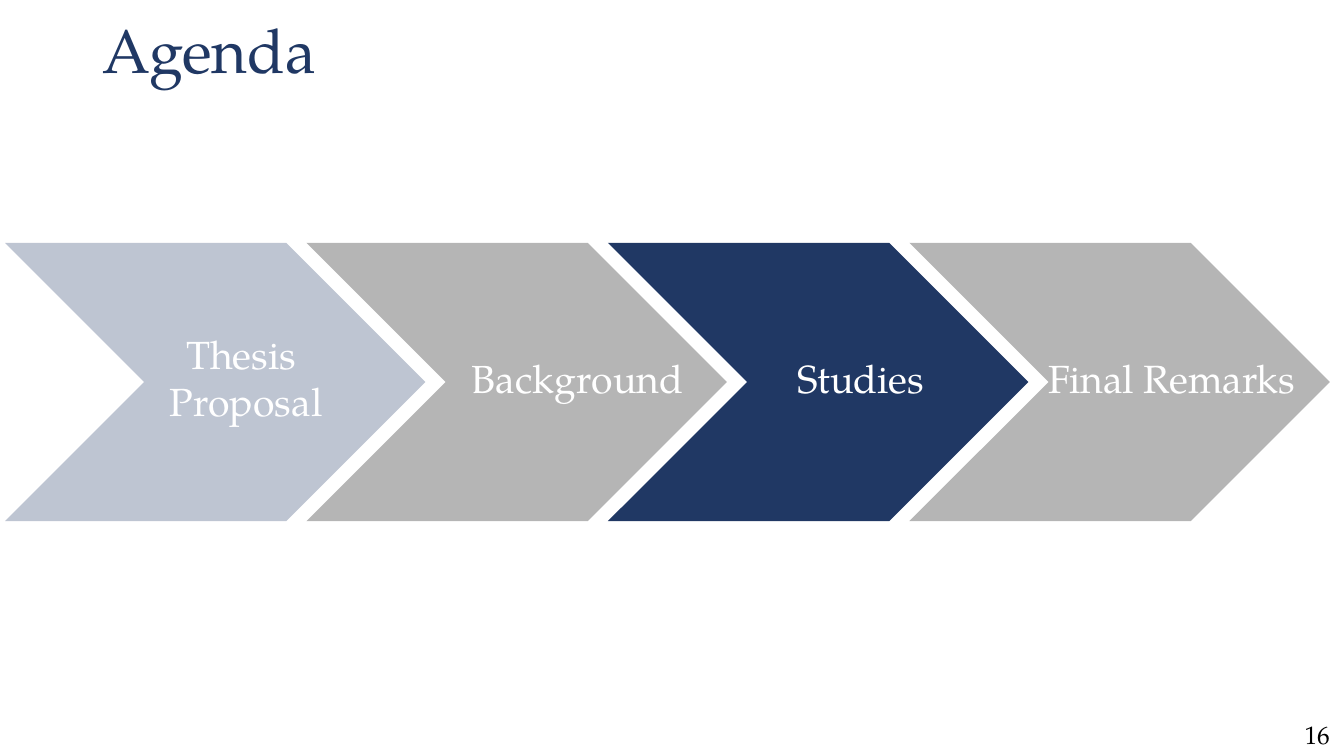
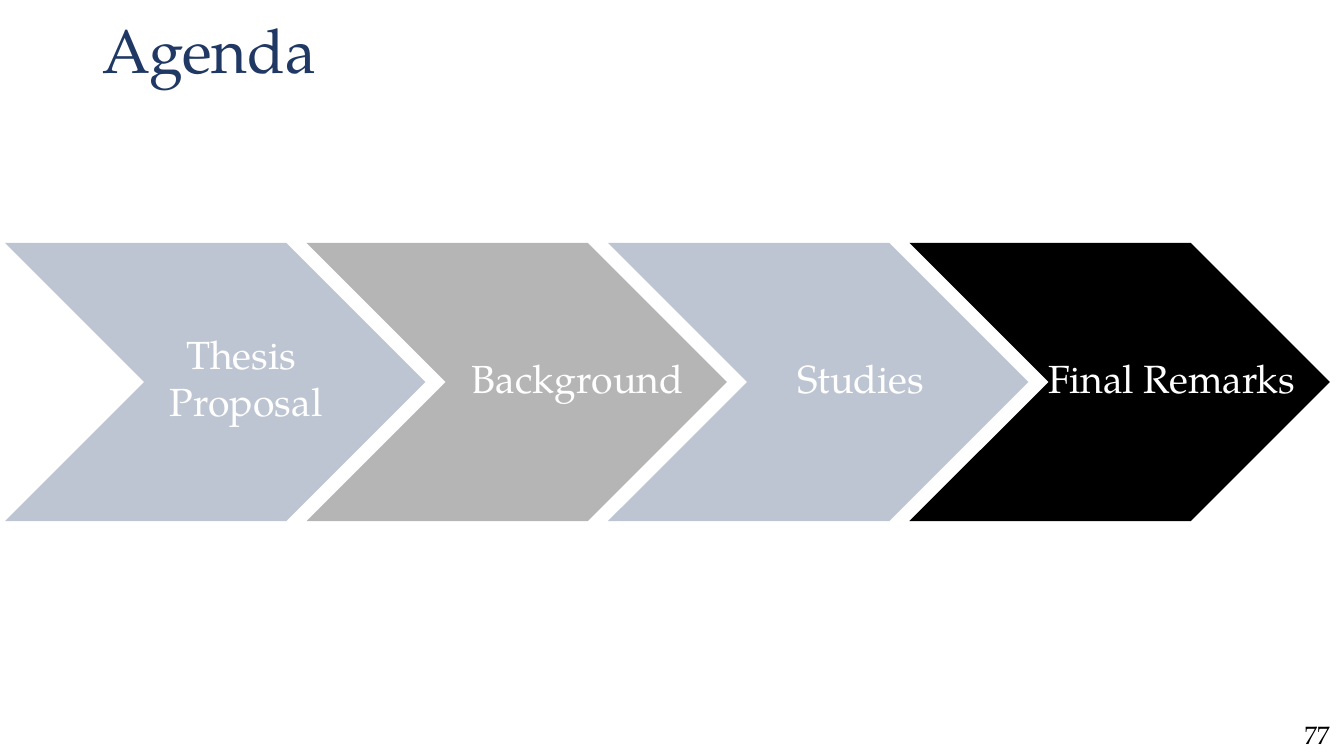
from dataclasses import dataclass

from lxml import etree
from pptx import Presentation
from pptx.dml.color import RGBColor
from pptx.enum.shapes import MSO_SHAPE
from pptx.enum.text import MSO_ANCHOR, MSO_AUTO_SIZE, PP_ALIGN
from pptx.oxml.ns import qn
from pptx.presentation import Presentation as Deck
from pptx.shapes.base import BaseShape
from pptx.slide import Slide
from pptx.text.text import TextFrame
from pptx.util import Pt

EMU_PER_PX = 9144  # 100 px to the inch
SLIDE_WIDTH, SLIDE_HEIGHT = 1333, 750

NAVY = RGBColor(0x20, 0x38, 0x64)
BLACK = RGBColor(0x00, 0x00, 0x00)
WHITE = RGBColor(0xFF, 0xFF, 0xFF)

FONT = "TeX Gyre Pagella"
TITLE_FORMAT = {"name": FONT, "size": Pt(44), "color": NAVY}
LABEL_FORMAT = {"name": FONT, "size": Pt(28), "color": WHITE}
NUMBER_FORMAT = {"name": FONT, "size": Pt(18), "color": BLACK}

CHEVRON_LEFT, CHEVRON_TOP, CHEVRON_PITCH = 5, 241, 299
CHEVRON_WIDTH, CHEVRON_HEIGHT = 417, 276
CHEVRON_MIDDLE = CHEVRON_TOP + CHEVRON_HEIGHT // 2
FADED_OPACITY = 29
LABEL_WIDTH = 366
LABEL_HEIGHTS = {1: 57, 2: 104}


@dataclass(frozen=True)
class Stage:
    lines: tuple[str, ...]
    label_left: int
    color: RGBColor


@dataclass(frozen=True)
class AgendaSlide:
    number: int
    current_stage: int


STAGES = (
    Stage(("Thesis ", "Proposal"), 61, NAVY),
    Stage(("Background",), 390, BLACK),
    Stage(("Studies",), 671, NAVY),
    Stage(("Final Remarks",), 979, BLACK),
)
AGENDA_SLIDES = (AgendaSlide(16, 2), AgendaSlide(77, 3))


def px(length: int) -> int:
    return length * EMU_PER_PX


def box(left: int, top: int, width: int, height: int) -> tuple[int, ...]:
    return tuple(px(length) for length in (left, top, width, height))


def write_lines(frame: TextFrame, lines: tuple[str, ...], text_format: dict,
                alignment: PP_ALIGN = PP_ALIGN.LEFT) -> None:
    frame.text = "\n".join(lines)
    for paragraph in frame.paragraphs:
        paragraph.alignment = alignment
        for run in paragraph.runs:
            for attribute, value in text_format.items():
                if attribute == "color":
                    run.font.color.rgb = value
                else:
                    setattr(run.font, attribute, value)


def add_text(slide: Slide, place: tuple[int, ...], lines: tuple[str, ...],
             text_format: dict, alignment: PP_ALIGN = PP_ALIGN.LEFT) -> None:
    frame = slide.shapes.add_textbox(*place).text_frame
    frame.word_wrap = True
    frame.auto_size = MSO_AUTO_SIZE.SHAPE_TO_FIT_TEXT
    write_lines(frame, lines, text_format, alignment)


def add_title(slide: Slide, text: str) -> None:
    title = slide.shapes.title
    title.left, title.top, title.width, title.height = box(92, 15, 1150, 127)
    frame = title.text_frame
    frame.auto_size = MSO_AUTO_SIZE.NONE
    frame.vertical_anchor = MSO_ANCHOR.TOP
    write_lines(frame, (text,), TITLE_FORMAT)
    frame.paragraphs[0].line_spacing = 0.9


def set_opacity(shape: BaseShape, percent: int) -> None:
    color = shape.fill._xPr.find(qn("a:solidFill"))[0]
    etree.SubElement(color, qn("a:alpha")).set("val", str(percent * 1000))


def add_chevron(slide: Slide, position: int, color: RGBColor, faded: bool) -> None:
    chevron = slide.shapes.add_shape(
        MSO_SHAPE.CHEVRON,
        *box(CHEVRON_LEFT + position * CHEVRON_PITCH, CHEVRON_TOP,
             CHEVRON_WIDTH, CHEVRON_HEIGHT))
    chevron.shadow.inherit = False
    chevron.line.fill.background()
    chevron.fill.solid()
    chevron.fill.fore_color.rgb = color
    if faded:
        set_opacity(chevron, FADED_OPACITY)


def add_label(slide: Slide, stage: Stage) -> None:
    height = LABEL_HEIGHTS[len(stage.lines)]
    top = CHEVRON_MIDDLE - height // 2 - 4
    add_text(slide, box(stage.label_left, top, LABEL_WIDTH, height),
             stage.lines, LABEL_FORMAT, PP_ALIGN.CENTER)


def add_agenda_slide(presentation: Deck, agenda: AgendaSlide) -> None:
    slide = presentation.slides.add_slide(
        presentation.slide_layouts.get_by_name("Title Only"))
    add_title(slide, "Agenda")
    for position, stage in enumerate(STAGES):
        add_chevron(slide, position, stage.color, position != agenda.current_stage)
    for stage in STAGES:
        add_label(slide, stage)
    add_text(slide, box(1284, 709, 50, 40), (str(agenda.number),), NUMBER_FORMAT)


def main() -> None:
    presentation = Presentation()
    presentation.slide_width = px(SLIDE_WIDTH)
    presentation.slide_height = px(SLIDE_HEIGHT)
    for agenda in AGENDA_SLIDES:
        add_agenda_slide(presentation, agenda)
    presentation.save("out.pptx")


if __name__ == "__main__":
    main()
